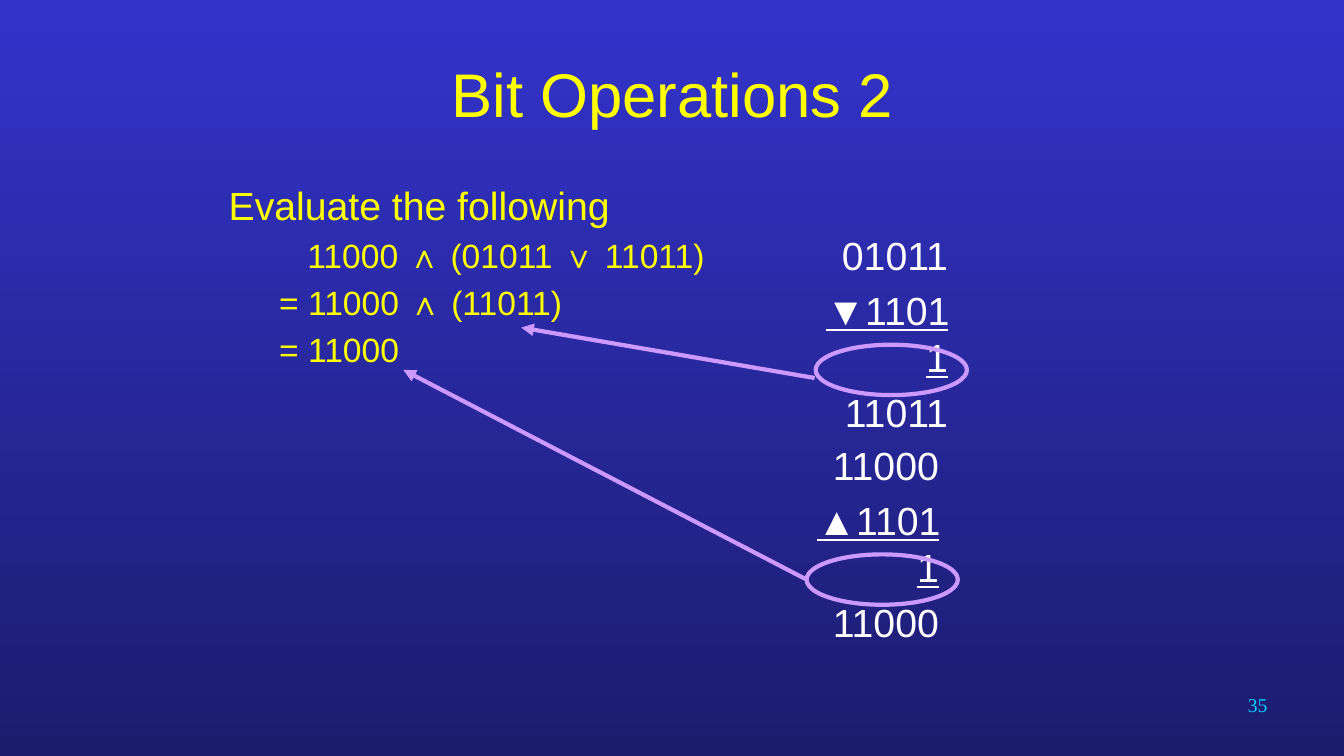
from lxml.etree import SubElement
from pptx import Presentation
from pptx.dml.color import RGBColor
from pptx.enum.shapes import MSO_CONNECTOR, MSO_SHAPE
from pptx.enum.text import MSO_ANCHOR, PP_ALIGN
from pptx.oxml.ns import qn
from pptx.util import Inches, Pt

YELLOW, WHITE, LILAC, CYAN = "FFFF00", "FFFFFF", "CC99FF", "00CCFF"


def color(value):
    """Return the colour for a hex string."""
    return RGBColor.from_string(value)


def paint_background(slide, top, bottom):
    """Fill the slide with a vertical gradient."""
    fill = slide.background.fill
    fill.gradient()
    fill.gradient_angle = 270
    for stop, value in zip(fill.gradient_stops, (top, bottom)):
        stop.color.rgb = color(value)


def add_text_frame(slide, box, anchor=MSO_ANCHOR.TOP):
    """Add a wrapping text box and return its frame."""
    frame = slide.shapes.add_textbox(*map(Inches, box)).text_frame
    frame.word_wrap = True
    frame.vertical_anchor = anchor
    return frame


def write_paragraph(frame, text, size, value, align=PP_ALIGN.LEFT, font="Arial",
                    margin=0, indent=0, spacing=0, underline=None):
    """Write a styled paragraph, reusing the first one while it is empty."""
    paragraph = frame.paragraphs[0] if not frame.text else frame.add_paragraph()
    paragraph.text = text
    paragraph.alignment = align
    paragraph.space_before = Pt(size * spacing)
    paragraph.font.size = Pt(size)
    paragraph.font.name = font
    paragraph.font.color.rgb = color(value)
    paragraph.font.underline = underline
    properties = paragraph._p.get_or_add_pPr()
    properties.set("marL", str(Inches(margin)))
    properties.set("indent", str(Inches(indent)))


def add_title(slide, box, text):
    """Add the centred slide title."""
    frame = add_text_frame(slide, box, MSO_ANCHOR.MIDDLE)
    write_paragraph(frame, text, 44, YELLOW, PP_ALIGN.CENTER)


def add_evaluation(slide, box, heading, steps):
    """Add the heading and the evaluation steps, the first one set in."""
    frame = add_text_frame(slide, box)
    write_paragraph(frame, heading, 28, YELLOW, margin=0.38, indent=-0.38, spacing=0.2)
    for number, step in enumerate(steps):
        indent = -0.31 if number else -0.03
        write_paragraph(frame, step, 24, YELLOW, margin=0.81, indent=indent, spacing=0.2)


def add_bit_sum(slide, box, rows, arrow_start, arrow_end):
    """Add a column calculation, circle its result and point to its use."""
    left, top, width, height = box
    frame = add_text_frame(slide, box)
    for number, row in enumerate(rows):
        write_paragraph(frame, row, 28, WHITE, PP_ALIGN.RIGHT, margin=0.38,
                        indent=-0.38, spacing=0.2, underline=number == 1)
    ring_box = (left + 0.17, top + 1.17, 1.5, 0.5)
    ring = slide.shapes.add_shape(MSO_SHAPE.OVAL, *map(Inches, ring_box))
    ring.shadow.inherit = False
    ring.fill.background()
    arrow = slide.shapes.add_connector(
        MSO_CONNECTOR.STRAIGHT, *map(Inches, arrow_start + arrow_end))
    for shape in (ring, arrow):
        shape.line.color.rgb = color(LILAC)
        shape.line.width = Pt(3)
    SubElement(arrow.line._get_or_add_ln(), qn("a:tailEnd"), type="triangle")
    SubElement(arrow._element.spPr, qn("a:effectLst"))


def add_page_number(slide, box, number):
    """Add the page number at the right."""
    frame = add_text_frame(slide, box)
    write_paragraph(frame, number, 14, CYAN, PP_ALIGN.RIGHT, "Times New Roman")


def main():
    """Build the slide and save it."""
    presentation = Presentation()
    presentation.slide_width = Inches(13.33)
    presentation.slide_height = Inches(7.5)
    slide = presentation.slides.add_slide(presentation.slide_layouts[6])
    paint_background(slide, "3333CC", "1C1C6E")
    add_page_number(slide, (9.56, 6.83, 3.11, 0.5), "35")
    add_title(slide, (0.67, 0.3, 12, 1.25), "Bit Operations 2")
    add_evaluation(slide, (2.17, 1.75, 9.17, 4.95), "Evaluate the following",
                   ("11000 ∧ (01011 ∨ 11011)", "= 11000 ∧ (11011)", "= 11000"))
    add_bit_sum(slide, (7.92, 2.25, 1.58, 1.83), ("01011", "▼11011", "11011"),
                (8.08, 3.75), (5.17, 3.25))
    add_bit_sum(slide, (7.83, 4.33, 1.58, 1.83), ("11000", "▲11011", "11000"),
                (8, 5.75), (4, 3.67))
    presentation.save("out.pptx")


if __name__ == "__main__":
    main()
